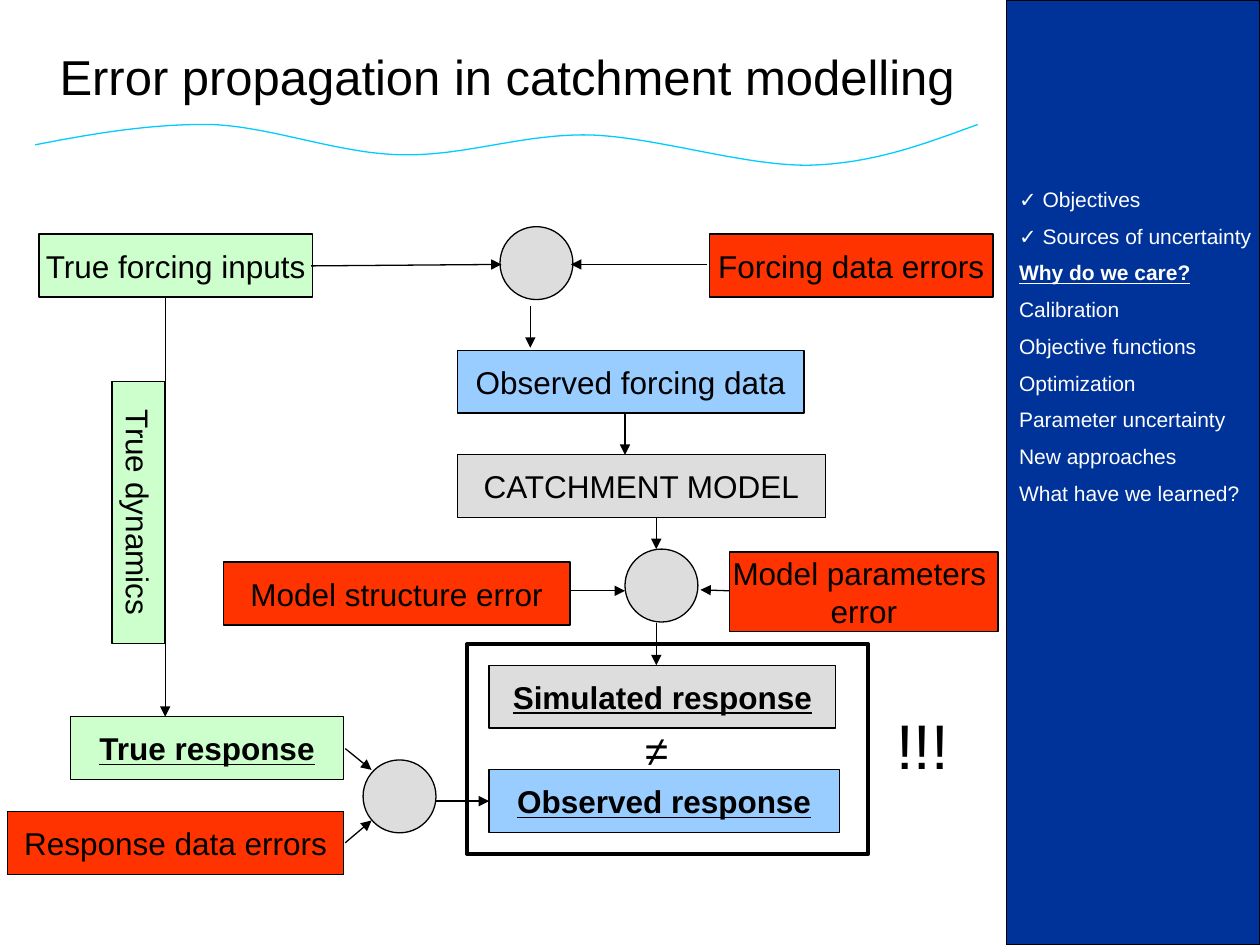
from dataclasses import dataclass

from lxml.etree import SubElement
from pptx import Presentation
from pptx.dml.color import RGBColor
from pptx.enum.shapes import MSO_CONNECTOR, MSO_SHAPE
from pptx.enum.text import MSO_ANCHOR, MSO_AUTO_SIZE, PP_ALIGN
from pptx.oxml.ns import qn
from pptx.util import Cm, Pt


@dataclass(frozen=True)
class Theme:
    """Colours, font and sizes of the slide."""
    font: str = "Arial"
    ink: str = "000000"
    paper: str = "FFFFFF"
    panel: str = "003399"
    wave: str = "00CCFF"
    truth: str = "CCFFCC"
    error: str = "FF3300"
    observed: str = "99CCFF"
    model: str = "DDDDDD"
    title_size: float = 28
    box_size: float = 18
    agenda_size: float = 12
    agenda_gap: float = 6.6
    thin: float = 0.75
    thick: float = 2.25


@dataclass(frozen=True)
class Box:
    """A labelled rectangle, placed in centimetres."""
    label: str
    left: float
    top: float
    width: float
    fill: str
    height: float = 1.27
    strong: bool = False
    rotation: float = 0


@dataclass(frozen=True)
class Arrow:
    """An arrow between two points in centimetres."""
    x1: float
    y1: float
    x2: float
    y2: float


@dataclass(frozen=True)
class Mark:
    """A large sign standing free on the slide."""
    sign: str
    left: float
    top: float
    height: float
    size: float


THEME = Theme()
NODE_SIZE = 1.47
MARK_WIDTH = 1.8
WAVE_STEPS = 24
BOXES = [
    Box("True forcing inputs", 0.79, 4.72, 5.51, THEME.truth),
    Box("Forcing data errors", 14.3, 4.72, 5.72, THEME.error),
    Box("Observed forcing data", 9.22, 7.06, 6.99, THEME.observed),
    Box("CATCHMENT MODEL", 9.22, 9.17, 7.42, THEME.model),
    Box("Model structure error", 4.5, 11.33, 6.99, THEME.error),
    Box("Simulated response", 9.86, 13.41, 6.99, THEME.model, strong=True),
    Box("Observed response", 9.86, 15.52, 7.06, THEME.observed, strong=True),
    Box("True response", 1.42, 14.45, 5.51, THEME.truth, strong=True),
    Box("Response data errors", 0.15, 16.36, 6.78, THEME.error),
    Box("True dynamics", 0.15, 9.8, 5.28, THEME.truth, height=1.07, rotation=90),
    Box("Model parameters \nerror", 14.71, 11.13, 5.41, THEME.error, height=1.6),
]
NODES = [(10.08, 4.57), (12.6, 11.07), (7.32, 15.32)]
ARROWS = [
    Arrow(6.27, 5.36, 10.11, 5.33),
    Arrow(14.25, 5.33, 11.51, 5.33),
    Arrow(10.69, 6.17, 10.69, 7.01),
    Arrow(12.6, 8.33, 12.6, 9.17),
    Arrow(13.23, 10.44, 13.23, 11.07),
    Arrow(11.51, 11.91, 12.6, 11.91),
    Arrow(14.71, 11.91, 14.12, 11.89),
    Arrow(13.23, 12.55, 13.23, 13.41),
    Arrow(6.96, 15.09, 7.49, 15.52),
    Arrow(6.96, 16.99, 7.49, 16.54),
    Arrow(8.79, 16.15, 9.86, 16.15),
    Arrow(3.33, 5.99, 3.33, 14.45),
]
MARKS = [Mark("≠", 12.34, 14.48, 1.27, 24), Mark("!!!", 17.7, 14.12, 1.78, 36)]
WAVE = [
    (0.71, 2.92), (1.88, 2.69), (3.07, 2.49), (4.29, 2.51),
    (5.54, 2.57), (6.83, 3.1), (8.1, 3.12),
    (9.37, 3.15), (10.54, 2.69), (11.91, 2.72),
    (13.26, 2.77), (15.01, 3.35), (16.31, 3.33),
    (17.6, 3.3), (18.64, 2.9), (19.71, 2.51),
]
CURRENT_TOPIC = "Why do we care?"
AGENDA = [
    "✓ Objectives", "✓ Sources of uncertainty", CURRENT_TOPIC, "Calibration",
    "Objective functions", "Optimization", "Parameter uncertainty",
    "New approaches", "What have we learned?",
]


def place(item, left: float, top: float, width: float, height: float) -> None:
    """Move and size a placeholder, in centimetres."""
    item.left, item.top = Cm(left), Cm(top)
    item.width, item.height = Cm(width), Cm(height)


def style_text(paragraph, size: float, colour: str, strong: bool = False) -> None:
    """Format every run of a paragraph."""
    for run in paragraph.runs:
        run.font.name = THEME.font
        run.font.size = Pt(size)
        run.font.bold = run.font.underline = strong
        run.font.color.rgb = RGBColor.from_string(colour)


def style_line(line, colour: str = THEME.ink, width: float = THEME.thin) -> None:
    """Set the colour and width of a line."""
    line.color.rgb = RGBColor.from_string(colour)
    line.width = Pt(width)


def draw_shape(slide, preset, left: float, top: float, width: float,
               height: float, fill: str = "", border: float = THEME.thin):
    """Draw an outlined preset shape, filled when a fill is given."""
    shape = slide.shapes.add_shape(preset, Cm(left), Cm(top), Cm(width), Cm(height))
    shape.shadow.inherit = False
    if fill:
        shape.fill.solid()
        shape.fill.fore_color.rgb = RGBColor.from_string(fill)
    else:
        shape.fill.background()
    style_line(shape.line, width=border)
    return shape


def draw_box(slide, box: Box) -> None:
    """Draw a rectangle with its centred label."""
    shape = draw_shape(slide, MSO_SHAPE.RECTANGLE, box.left, box.top,
                       box.width, box.height, box.fill)
    shape.rotation = box.rotation
    frame = shape.text_frame
    frame.text = box.label
    frame.word_wrap = False
    frame.vertical_anchor = MSO_ANCHOR.MIDDLE
    for paragraph in frame.paragraphs:
        paragraph.alignment = PP_ALIGN.CENTER
        style_text(paragraph, THEME.box_size, THEME.ink, box.strong)


def draw_arrow(slide, arrow: Arrow) -> None:
    """Draw a line with a triangle at its end."""
    connector = slide.shapes.add_connector(
        MSO_CONNECTOR.STRAIGHT, Cm(arrow.x1), Cm(arrow.y1), Cm(arrow.x2), Cm(arrow.y2))
    style_line(connector.line)
    SubElement(connector.line._get_or_add_ln(), qn("a:tailEnd"), type="triangle")
    SubElement(connector._element.spPr, qn("a:effectLst"))


def draw_mark(slide, mark: Mark) -> None:
    """Draw a centred sign in a text box."""
    frame = slide.shapes.add_textbox(Cm(mark.left), Cm(mark.top), Cm(MARK_WIDTH),
                                     Cm(mark.height)).text_frame
    frame.text = mark.sign
    frame.word_wrap = True
    frame.paragraphs[0].alignment = PP_ALIGN.CENTER
    style_text(frame.paragraphs[0], mark.size, THEME.ink)


def draw_wave(slide) -> None:
    """Draw the wavy rule as a chain of cubic curves."""
    curve = []
    for start in range(0, len(WAVE) - 1, 3):
        controls = list(zip(*WAVE[start:start + 4]))
        for step in range(1, WAVE_STEPS + 1):
            t = step / WAVE_STEPS
            weights = ((1 - t) ** 3, 3 * t * (1 - t) ** 2, 3 * t * t * (1 - t), t ** 3)
            curve.append(tuple(Cm(sum(w * c for w, c in zip(weights, axis)))
                               for axis in controls))
    builder = slide.shapes.build_freeform(Cm(WAVE[0][0]), Cm(WAVE[0][1]))
    builder.add_line_segments(curve, close=False)
    wave = builder.convert_to_shape()
    wave.shadow.inherit = False
    wave.fill.background()
    style_line(wave.line, THEME.wave)


def fill_title(title) -> None:
    """Write the slide title."""
    place(title, -0.08, 0.13, 20.6, 2.79)
    title.text_frame.text = "Error propagation in catchment modelling"
    title.text_frame.vertical_anchor = MSO_ANCHOR.MIDDLE
    title.text_frame.paragraphs[0].alignment = PP_ALIGN.CENTER
    style_text(title.text_frame.paragraphs[0], THEME.title_size, THEME.ink)


def fill_agenda(agenda) -> None:
    """Write the list of topics and stress the current one."""
    place(agenda, 20.29, 3.63, 5.38, 6.86)
    frame = agenda.text_frame
    frame.text = "\n".join(AGENDA)
    frame.auto_size = MSO_AUTO_SIZE.NONE
    for index, paragraph in enumerate(frame.paragraphs):
        properties = paragraph._p.get_or_add_pPr()
        properties.set("marL", "0")
        properties.set("indent", "0")
        SubElement(properties, qn("a:buNone"))
        paragraph.space_before = Pt(THEME.agenda_gap if index else 0)
        style_text(paragraph, THEME.agenda_size, THEME.paper,
                   paragraph.text == CURRENT_TOPIC)


def main() -> None:
    """Build the slide and save it."""
    deck = Presentation()
    deck.slide_width, deck.slide_height = Cm(25.4), Cm(19.05)
    slide = deck.slides.add_slide(deck.slide_layouts[1])
    title, agenda = slide.placeholders
    fill_title(title)
    draw_shape(slide, MSO_SHAPE.RECTANGLE, 20.29, 0, 5.11, 19.05, THEME.panel)
    slide.shapes._spTree.append(agenda._element)
    fill_agenda(agenda)
    draw_wave(slide)
    for box in BOXES:
        draw_box(slide, box)
    for left, top in NODES:
        draw_shape(slide, MSO_SHAPE.OVAL, left, top, NODE_SIZE, NODE_SIZE, THEME.model)
    draw_shape(slide, MSO_SHAPE.RECTANGLE, 9.42, 12.98, 8.08, 4.24, border=THEME.thick)
    for arrow in ARROWS:
        draw_arrow(slide, arrow)
    for mark in MARKS:
        draw_mark(slide, mark)
    deck.save("out.pptx")


if __name__ == "__main__":
    main()
